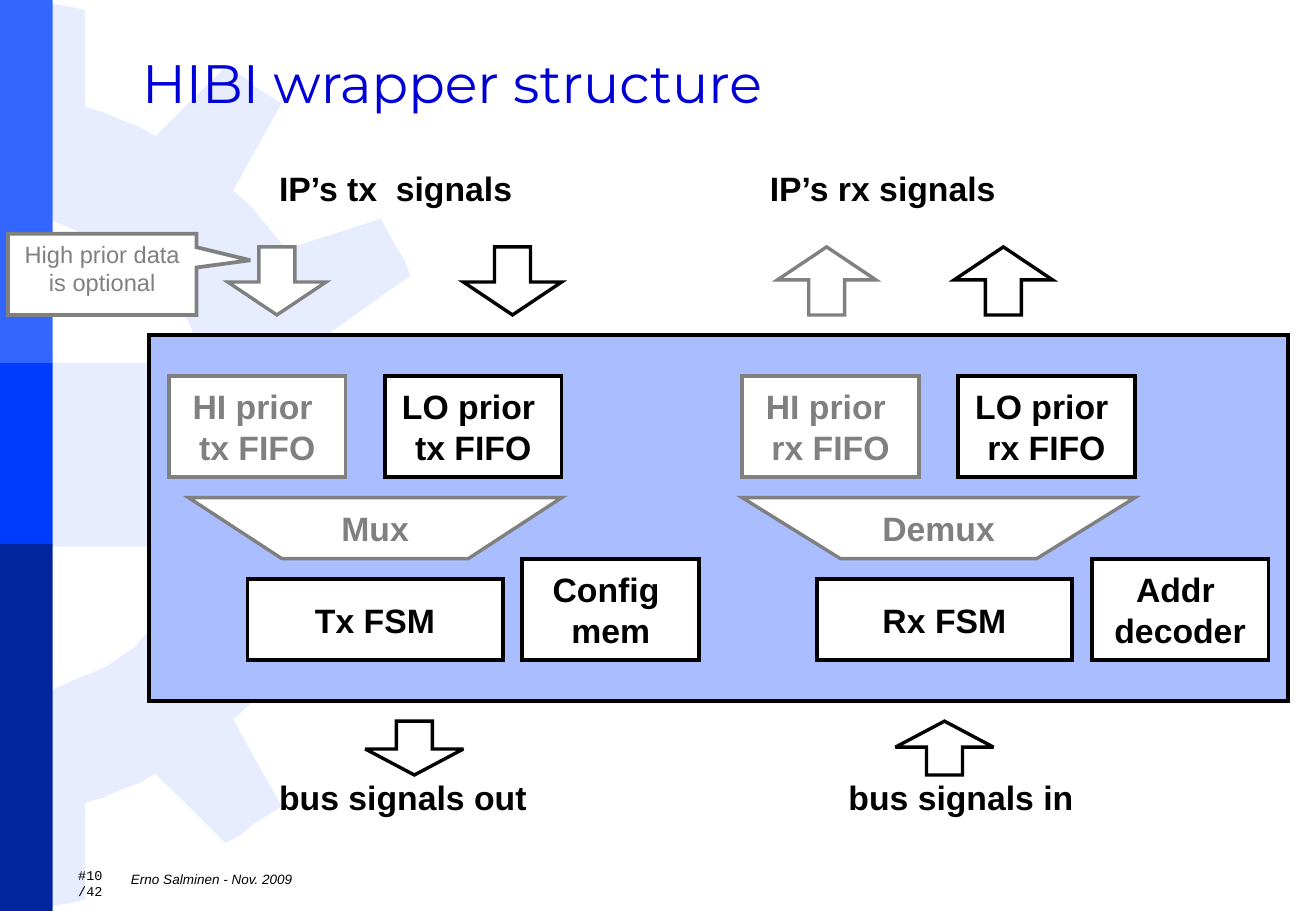
from lxml.etree import SubElement
from pptx import Presentation
from pptx.dml.color import RGBColor
from pptx.enum.shapes import MSO_SHAPE as Shape
from pptx.enum.text import MSO_ANCHOR as Anchor, MSO_AUTO_SIZE as AutoSize, PP_ALIGN as Align
from pptx.oxml.ns import qn
from pptx.util import Inches, Pt

WIDTH, HEIGHT = 10.84, 7.5
# The wrapper block spans 58 columns and 18 rows; everything else follows its grid.
LEFT, TOP = 1.23, 2.76
COL, ROW = 9.38 / 58, 3.01 / 18
BLACK, GRAY, WHITE = "000000", "808080", "FFFFFF"
BAND_WIDTH = 0.04 * WIDTH
BANDS = [(0, 2.99, "3366FF"), (2.99, 4.48, "003CFC"), (4.48, HEIGHT, "00259C")]
GEAR_HEIGHT = 7.49
GEAR_TOP_HALF = [
    (0, 2.99), (1.73, 2.99), (1.67, 2.86), (1.6, 2.76), (1.55, 2.64), (1.47, 2.53),
    (1.39, 2.42), (1.3, 2.34), (1.19, 2.26), (1.11, 2.16), (1, 2.09), (0.89, 2.01),
    (0.78, 1.96), (0.65, 1.91), (0.54, 1.86), (0.42, 1.81), (0.28, 1.8), (0.14, 1.76),
    (0.14, 0), (0.29, 0.01), (0.42, 0.03), (0.55, 0.05), (0.7, 0.08), (0.7, 0.88),
    (0.87, 0.93), (1, 0.99), (1.14, 1.04), (1.28, 1.12), (1.86, 0.55), (1.99, 0.62),
    (2.08, 0.7), (2.19, 0.77), (2.32, 0.85), (1.92, 1.57), (2.06, 1.69), (2.15, 1.8),
    (2.25, 1.92), (2.36, 2.05), (3.14, 1.8), (3.2, 1.92), (3.27, 2.04), (3.33, 2.14),
    (3.38, 2.27), (2.73, 2.73), (2.75, 2.91), (2.81, 3.05), (2.83, 3.2), (2.86, 3.34),
    (3.67, 3.47), (3.7, 3.59), (3.7, 3.73),
]


def color(hex_code):
    return RGBColor.from_string(hex_code)


def cells(col, row, cols, rows):
    """Turn a grid position and size into left, top, width, height in inches."""
    return LEFT + col * COL, TOP + row * ROW, cols * COL, rows * ROW


def write(box, text, size=20, font="Arial", ink=BLACK, bold=False, italic=False,
          align=Align.CENTER, anchor=Anchor.MIDDLE, wrap=False):
    frame = box.text_frame
    frame.word_wrap = wrap
    frame.vertical_anchor = anchor
    frame.text = text
    for para in frame.paragraphs:
        para.alignment = align
        for span in para.runs:
            span.font.name, span.font.size = font, Pt(size)
            span.font.bold, span.font.italic = bold, italic
            span.font.color.rgb = color(ink)


def paint(shape, fill, line=None, weight=2.25):
    shape.shadow.inherit = False
    shape.fill.solid()
    shape.fill.fore_color.rgb = color(fill)
    if line is None:
        shape.line.fill.background()
        return
    shape.line.color.rgb = color(line)
    shape.line.width = Pt(weight)
    outline = shape.element.spPr.find(qn("a:ln"))
    SubElement(outline, qn("a:miter")).set("lim", "800000")


def add_preset(page, kind, place, fill=WHITE, line=None, weight=2.25):
    shape = page.shapes.add_shape(kind, *map(Inches, place))
    paint(shape, fill, line, weight)
    return shape


def add_outline(page, points, fill, line=None, weight=2):
    corners = [(Inches(x), Inches(y)) for x, y in points]
    builder = page.shapes.build_freeform(*corners[0])
    builder.add_line_segments(corners[1:], close=True)
    shape = builder.convert_to_shape()
    paint(shape, fill, line, weight)
    return shape


def add_label(page, text, place, **style):
    box = page.shapes.add_textbox(*map(Inches, place))
    write(box, text, **style)
    return box


def add_block(page, text, place, ink=BLACK):
    write(add_preset(page, Shape.RECTANGLE, place, line=ink), text, ink=ink, bold=True)


def add_arrow(page, place, ink=BLACK, up=False):
    arrow = add_preset(page, Shape.DOWN_ARROW, place, line=ink, weight=2)
    arrow.adjustments[0], arrow.adjustments[1] = 0.367, 0.483
    arrow.rotation = 180 if up else 0


def add_funnel(page, text, place):
    """Draw a multiplexer: a trapezoid that narrows by a quarter on each side."""
    left, top, width, height = place
    points = [(left, top), (left + width, top),
              (left + 0.75 * width, top + height), (left + 0.25 * width, top + height)]
    write(add_outline(page, points, WHITE, GRAY), text, ink=GRAY, bold=True)


def add_backdrop(page):
    lower_half = [(x, GEAR_HEIGHT - y) for x, y in reversed(GEAR_TOP_HALF)]
    add_outline(page, GEAR_TOP_HALF + lower_half, "E7EDFF")
    for top, bottom, fill in BANDS:
        add_preset(page, Shape.RECTANGLE, (0, top, BAND_WIDTH, bottom - top), fill)


def add_title(page, text):
    title = page.shapes.title
    title.element.getparent().append(title.element)  # in front of the backdrop
    title.left, title.top, title.width, title.height = map(Inches, (1.07, 0.36, 9.47, 0.63))
    write(title, text, size=32, font="Montserrat", ink="0000D6", align=Align.LEFT, wrap=True)
    title.text_frame.auto_size = AutoSize.NONE


def add_wrapper(page):
    add_preset(page, Shape.RECTANGLE, cells(0, 0, 58, 18), "A9BDFF", BLACK)
    for way, first in (("tx", 1), ("rx", 30.2)):
        add_block(page, f"HI prior \n{way} FIFO", cells(first, 2, 9, 5), GRAY)
        add_block(page, f"LO prior \n{way} FIFO", cells(first + 11, 2, 9, 5))
    add_funnel(page, "Mux", cells(2, 8, 19, 3))
    add_funnel(page, "Demux", cells(30.2, 8, 20, 3))
    for machine, memory, first in (("Tx FSM", "Config \nmem", 5), ("Rx FSM", "Addr \ndecoder", 34)):
        add_block(page, machine, cells(first, 12, 13, 4))
        add_block(page, memory, cells(first + 14, 11, 9, 5))


def add_signals(page):
    for col, ink, up in ((4, GRAY, False), (16, BLACK, False), (32, GRAY, True), (41, BLACK, True)):
        add_arrow(page, cells(col, -4.35, 5, 3.35), ink, up)
    for col, up in ((11, False), (38, True)):
        add_arrow(page, cells(col, 19, 5, 2.65), up=up)
    for text, col, row, cols in (
        ("IP’s tx  signals", 6, -8.55, 13.2),
        ("IP’s rx signals", 31, -8.55, 12.8),
        ("bus signals out", 6, 21.45, 13.85),
        ("bus signals in", 35, 21.45, 12.7),
    ):
        label = add_label(page, text, cells(col, row, cols, 2.6), bold=True,
                          align=Align.LEFT, anchor=Anchor.TOP)
        label.text_frame.auto_size = AutoSize.SHAPE_TO_FIT_TEXT


def add_note(page):
    note = add_preset(page, Shape.RECTANGULAR_CALLOUT, cells(-7.2, -5, 9.6, 4), line=GRAY)
    note.adjustments[0], note.adjustments[1] = 0.786, -0.173
    write(note, "High prior data is optional", size=14, ink=GRAY, anchor=Anchor.TOP, wrap=True)


def main():
    deck = Presentation()
    deck.slide_width, deck.slide_height = Inches(WIDTH), Inches(HEIGHT)
    page = deck.slides.add_slide(deck.slide_layouts.get_by_name("Title Only"))
    add_backdrop(page)
    add_title(page, "HIBI wrapper structure")
    add_wrapper(page)
    add_signals(page)
    add_note(page)
    add_label(page, "#10/42", (0.53, 7.14, 0.43, 0.26), size=8, font="Courier New")
    add_label(page, "Erno Salminen - Nov. 2009", (0.98, 7.11, 9.39, 0.26), size=8,
              italic=True, align=Align.LEFT, wrap=True)
    deck.save("out.pptx")


if __name__ == "__main__":
    main()
